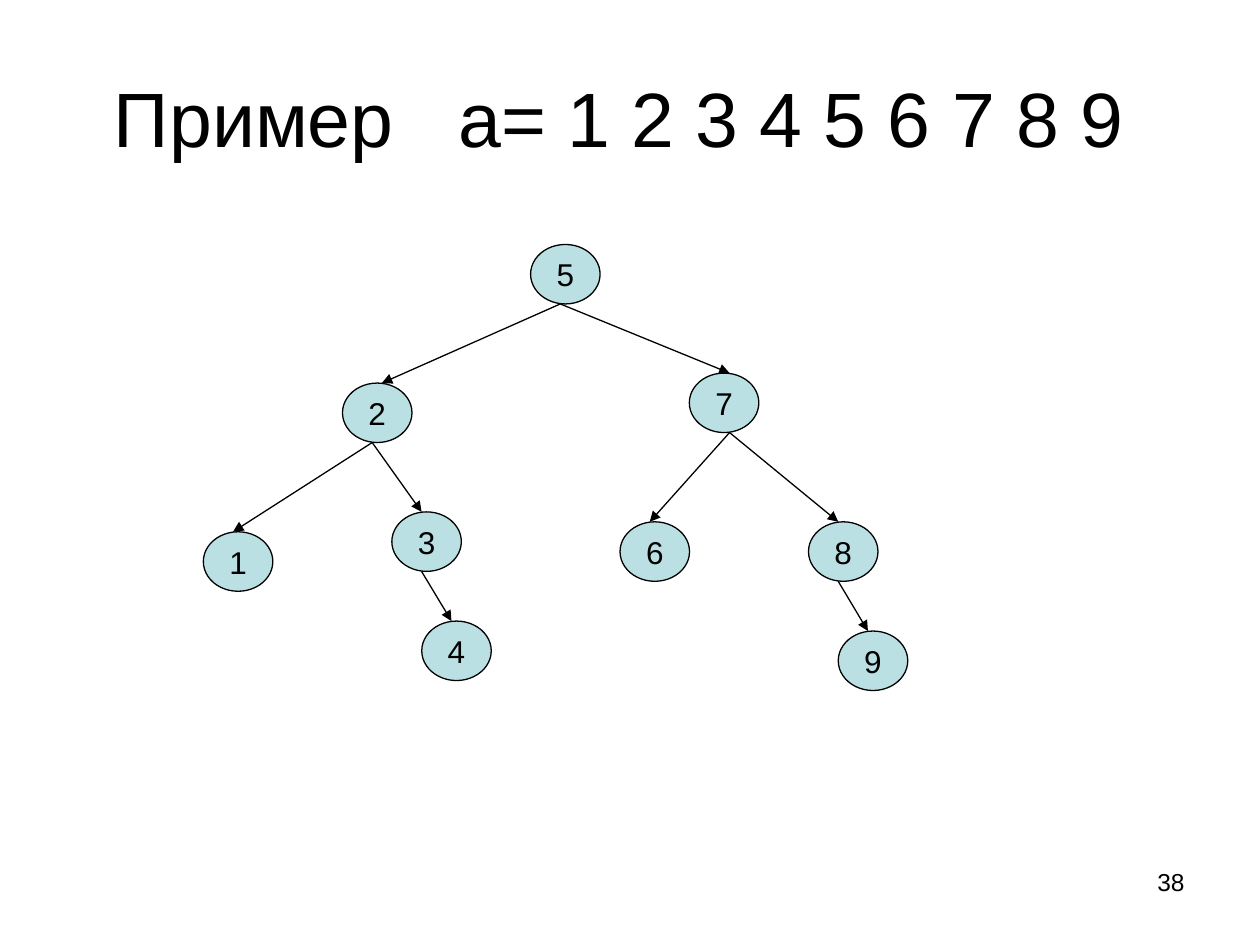
"""Build a slide with a balanced binary search tree."""
import pptx
import pptx.util
import pptx.dml.color
import pptx.enum.shapes
import pptx.enum.text
import pptx.oxml.ns
import lxml.etree

Pt = pptx.util.Pt
ALIGN = pptx.enum.text.PP_ALIGN
ANCHOR = pptx.enum.text.MSO_ANCHOR

TITLE_PARTS = ["Пример", " ", "а= 1 2 3 4 5 6 7 8 9"]
TITLE_GAP = 24.5
PAGE_NUMBER = "38"
NODE_WIDTH, NODE_HEIGHT = 39.7, 34
# value: left, top, arrow-in offset, arrow-out offset
NODES = {
    5: (303.2, 139.7, 17, 17),
    2: (195.7, 218.9, 22.5, 17),
    7: (393.9, 213.2, 23, 23),
    1: (116.2, 303.9, 17, 17),
    3: (223.9, 292.5, 17, 17),
    4: (241, 354.9, 17, 17),
    6: (354.3, 298.2, 17, 17),
    8: (462, 298.2, 17, 17),
    9: (479, 360.6, 17, 17),
}
CHILDREN = {5: (2, 7), 2: (1, 3), 3: (4,), 7: (6, 8), 8: (9,)}


def color(value):
    return pptx.dml.color.RGBColor.from_string(value)


def format_text(shape, size, alignment, anchor):
    frame = shape.text_frame
    frame.vertical_anchor = anchor
    paragraph = frame.paragraphs[0]
    paragraph.alignment = alignment
    for run in paragraph.runs:
        run.font.size = Pt(size)
        run.font.name = "Arial"
        run.font.color.rgb = color("000000")


def format_line(line):
    line.color.rgb = color("000000")
    line.width = Pt(0.75)


def add_title(slide):
    title = slide.shapes.title
    title.left, title.top, title.width, title.height = map(Pt, (36, 21.6, 648, 90))
    frame = title.text_frame
    frame.auto_size = pptx.enum.text.MSO_AUTO_SIZE.NONE
    frame.margin_right = Pt(19.4)
    for part in TITLE_PARTS:
        run = frame.paragraphs[0].add_run()
        run.text = part
        if part == " ":
            run.font._element.set("spc", str(int(TITLE_GAP * 100)))
    format_text(title, 44, ALIGN.CENTER, ANCHOR.MIDDLE)


def add_node(slide, value):
    left, top = NODES[value][:2]
    node = slide.shapes.add_shape(
        pptx.enum.shapes.MSO_SHAPE.OVAL,
        Pt(left), Pt(top), Pt(NODE_WIDTH), Pt(NODE_HEIGHT))
    node.shadow.inherit = False
    node.fill.solid()
    node.fill.fore_color.rgb = color("BBE0E3")
    format_line(node.line)
    node.text_frame.text = str(value)
    node.text_frame.word_wrap = False
    format_text(node, 18, ALIGN.CENTER, ANCHOR.MIDDLE)


def add_edge(slide, parent, child):
    parent_left, parent_top, _, offset_out = NODES[parent]
    child_left, child_top, offset_in, _ = NODES[child]
    edge = slide.shapes.add_connector(
        pptx.enum.shapes.MSO_CONNECTOR.STRAIGHT,
        Pt(parent_left + offset_out), Pt(parent_top + NODE_HEIGHT),
        Pt(child_left + offset_in), Pt(child_top))
    format_line(edge.line)
    qn = pptx.oxml.ns.qn
    properties = edge._element.spPr
    lxml.etree.SubElement(properties.find(qn("a:ln")), qn("a:tailEnd"), type="triangle")
    lxml.etree.SubElement(properties, qn("a:effectLst"))


def add_page_number(slide):
    box = slide.shapes.add_textbox(Pt(516), Pt(492), Pt(168), Pt(37.5))
    box.text_frame.word_wrap = True
    box.text_frame.text = PAGE_NUMBER
    format_text(box, 14, ALIGN.RIGHT, ANCHOR.TOP)


def main():
    presentation = pptx.Presentation()
    presentation.slide_width, presentation.slide_height = Pt(720), Pt(540)
    slide = presentation.slides.add_slide(presentation.slide_layouts[5])
    add_title(slide)
    for value in NODES:
        add_node(slide, value)
    for parent, children in CHILDREN.items():
        for child in children:
            add_edge(slide, parent, child)
    add_page_number(slide)
    presentation.save("out.pptx")


if __name__ == "__main__":
    main()
